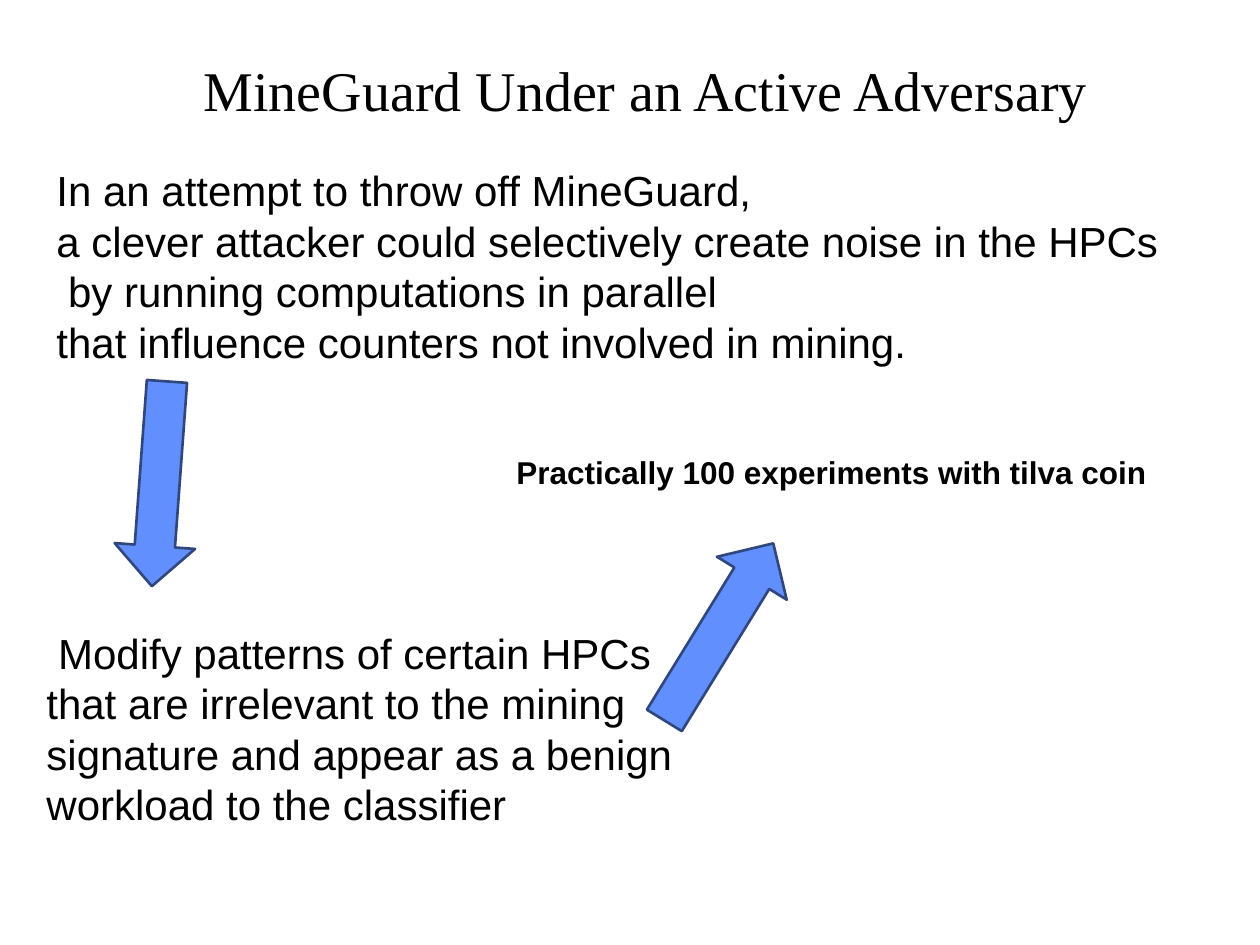
import pptx
import pptx.util
import pptx.dml.color
import pptx.enum.shapes
import pptx.enum.text

Inches = pptx.util.Inches
Pt = pptx.util.Pt

COLORS = {"text": "000000", "arrow": "618FFD", "outline": "30477E"}


class SlideBuilder:
    body_font = "Arial"
    title_font = "Times New Roman"

    def __init__(self, prs):
        self.s = prs.slides.add_slide(prs.slide_layouts[6])

    def color(self, name):
        return pptx.dml.color.RGBColor.from_string(COLORS[name])

    def text(self, box, paragraphs, size=24, font=body_font, bold=False,
             align=pptx.enum.text.PP_ALIGN.LEFT,
             anchor=pptx.enum.text.MSO_ANCHOR.TOP):
        sp = self.s.shapes.add_textbox(*map(Inches, box))
        tf = sp.text_frame
        tf.word_wrap = True
        tf.vertical_anchor = anchor
        for i, lines in enumerate(paragraphs):
            p = tf.add_paragraph() if i else tf.paragraphs[0]
            p.alignment = align
            for j, line in enumerate(lines):
                if j:
                    p.add_line_break()
                r = p.add_run()
                r.text = line
                r.font.name = font
                r.font.size = Pt(size)
                r.font.bold = bold
                r.font.color.rgb = self.color("text")

    def title(self, box, words):
        self.text(box, [[words]], 32, self.title_font,
                  align=pptx.enum.text.PP_ALIGN.CENTER,
                  anchor=pptx.enum.text.MSO_ANCHOR.MIDDLE)

    def arrow(self, box, rotation):
        sp = self.s.shapes.add_shape(
            pptx.enum.shapes.MSO_SHAPE.RIGHT_ARROW, *map(Inches, box))
        sp.rotation = rotation
        sp.shadow.inherit = False
        sp.fill.solid()
        sp.fill.fore_color.rgb = self.color("arrow")
        sp.line.color.rgb = self.color("outline")
        sp.line.width = Pt(1.5)


def main():
    prs = pptx.Presentation()
    prs.slide_width = Inches(10)
    prs.slide_height = Inches(7.5)
    b = SlideBuilder(prs)
    b.title((0.75, 0.25, 8.75, 0.92), "MineGuard Under an Active Adversary")
    b.text((0.35, 1.26, 14.77, 1.7), [
        ["In an attempt to throw off MineGuard,"],
        ["a clever attacker could selectively create noise in the HPCs ",
         " by running computations in parallel"],
        ["that influence counters not involved in mining. "],
    ])
    b.arrow((0.45, 3.52, 1.63, 0.64), 94.2)
    b.text((0.27, 4.93, 5.28, 1.7), [
        [" Modify patterns of certain HPCs that are irrelevant to the mining "
         "signature and appear as a benign workload to the classifier"],
    ])
    b.arrow((4.88, 4.69, 1.65, 0.65), 301.6)
    b.text((4, 3.55, 5.89, 0.4),
           [["Practically 100 experiments with tilva coin"]], 18, bold=True)
    prs.save("out.pptx")


if __name__ == "__main__":
    main()
